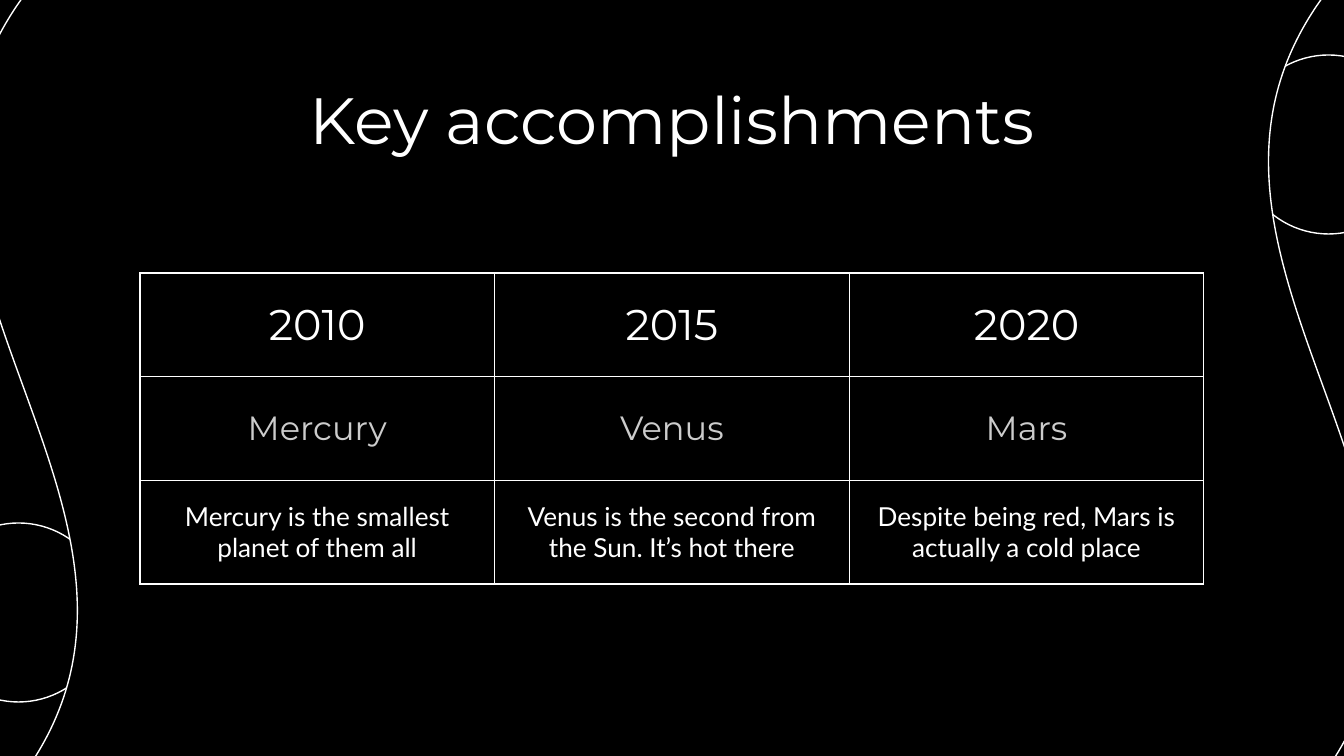
from lxml.etree import SubElement
from pptx import Presentation
from pptx.dml.color import RGBColor
from pptx.enum.shapes import MSO_SHAPE
from pptx.enum.text import MSO_ANCHOR, MSO_AUTO_SIZE, PP_ALIGN
from pptx.oxml.ns import qn
from pptx.util import Inches, Pt

BLACK = RGBColor(0x00, 0x00, 0x00)
WHITE = RGBColor(0xFF, 0xFF, 0xFF)
GREY = RGBColor(0xCC, 0xCC, 0xCC)
LINE_WIDTH = Pt(0.75)
INSET = 13

ROWS = [
    ["2010", "2015", "2020"],
    ["Mercury", "Venus", "Mars"],
    [
        "Mercury is the smallest planet of them all",
        "Venus is the second from the Sun. It’s hot there",
        "Despite being red, Mars is actually a cold place",
    ],
]
ROW_STYLES = [("Montserrat", 23, WHITE), ("Montserrat", 18, GREY), ("Lato", 14, WHITE)]


def px(length):
    return round(length * Inches(1) / 134.4)


def format_text(text_frame, font_name, size, color):
    for para in text_frame.paragraphs:
        para.alignment = PP_ALIGN.CENTER
        for span in para.runs:
            span.font.name = font_name
            span.font.size = Pt(size)
            span.font.bold = False
            span.font.color.rgb = color


def set_insets(holder):
    holder.margin_left = holder.margin_right = px(INSET)
    holder.margin_top = holder.margin_bottom = px(INSET)


def add_outlined(page, kind, left, top, width, height):
    shape = page.shapes.add_shape(kind, px(left), px(top), px(width), px(height))
    shape.shadow.inherit = False
    shape.fill.solid()
    shape.fill.fore_color.rgb = BLACK
    shape.line.color.rgb = WHITE
    shape.line.width = LINE_WIDTH
    return shape


def add_backdrop(page, width, height):
    """Two circles tucked behind a sideways wave that spans the page."""
    diameter = 179
    add_outlined(page, MSO_SHAPE.OVAL, width - 105, 55, diameter, diameter)
    add_outlined(page, MSO_SHAPE.OVAL, -71, height - 233, diameter, diameter)
    wave_width, wave_height = 778, 1413
    wave = add_outlined(page, MSO_SHAPE.WAVE, (width - wave_width) / 2 + 1,
                        (height - wave_height) / 2 + 8, wave_width, wave_height)
    wave.adjustments[0] = 0.04
    wave.adjustments[1] = 0
    wave.rotation = 270
    wave.element.spPr.find(qn("a:xfrm")).set("flipH", "1")


def place_title(page, left, top, width, height):
    title = page.shapes.title
    title.left, title.top = px(left), px(top)
    title.width, title.height = px(width), px(height)
    frame = title.text_frame
    frame.text = "Key accomplishments"
    frame.word_wrap = True
    frame.auto_size = MSO_AUTO_SIZE.NONE
    frame.vertical_anchor = MSO_ANCHOR.TOP
    set_insets(frame)
    format_text(frame, "Montserrat", 35, WHITE)
    # Keep the title in front of the backdrop.
    page.shapes.element.append(title.element)


def add_borders(cell):
    properties = cell._tc.get_or_add_tcPr()
    for side in ("a:lnL", "a:lnR", "a:lnT", "a:lnB"):
        border = SubElement(properties, qn(side), w=str(LINE_WIDTH))
        fill = SubElement(border, qn("a:solidFill"))
        SubElement(fill, qn("a:srgbClr"), val=str(WHITE))


def add_timeline_table(page, left, top, width, height):
    frame = page.shapes.add_table(len(ROWS), len(ROWS[0]), px(left), px(top),
                                  px(width), px(height))
    table = frame.table
    table.first_row = False
    table.horz_banding = False
    for row, texts, style in zip(table.rows, ROWS, ROW_STYLES):
        row.height = px(height / len(ROWS))
        for cell, text in zip(row.cells, texts):
            cell.text_frame.text = text
            cell.vertical_anchor = MSO_ANCHOR.MIDDLE
            set_insets(cell)
            add_borders(cell)
            cell.fill.background()
            format_text(cell.text_frame, *style)


def main():
    width, height = 1344, 756
    deck = Presentation()
    deck.slide_width, deck.slide_height = px(width), px(height)
    page = deck.slides.add_slide(deck.slide_layouts[5])
    page.background.fill.solid()
    page.background.fill.fore_color.rgb = BLACK
    add_backdrop(page, width, height)
    place_title(page, 106, 66, 1132, 84)
    add_timeline_table(page, 140, 273, 1064, 311)
    deck.save("out.pptx")


if __name__ == "__main__":
    main()
